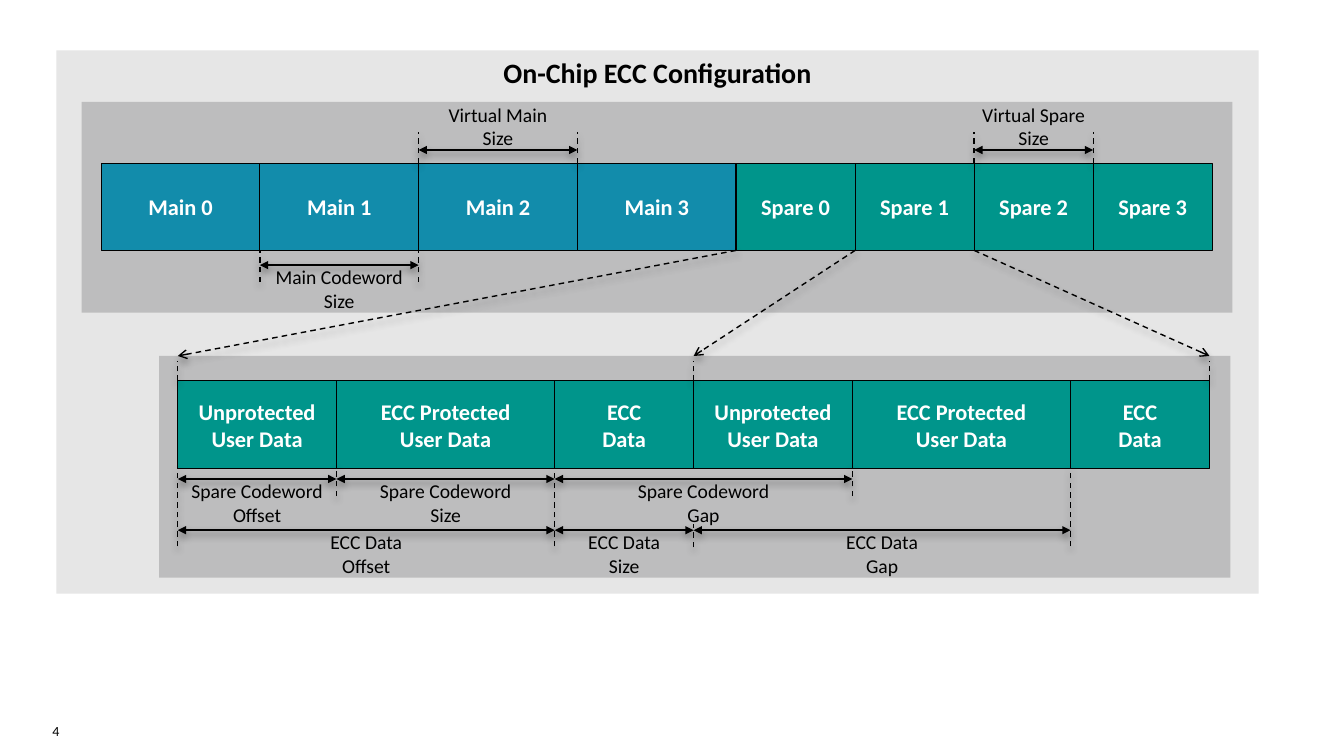
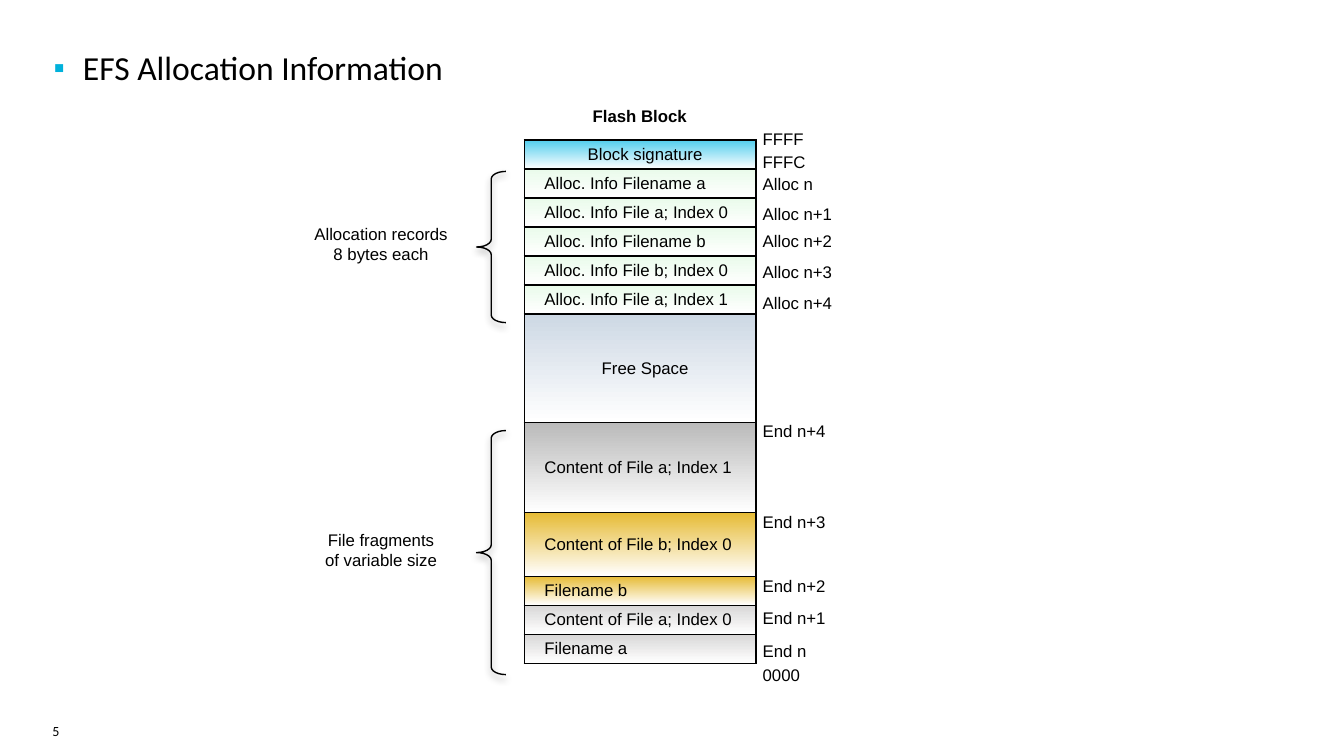
"""Build two slides on flash memory: the ECC layout and the EFS block map."""
import dataclasses
import itertools

import lxml.etree
import pptx
import pptx.dml.color
import pptx.enum.dml
import pptx.enum.shapes
import pptx.enum.text
import pptx.oxml.ns
import pptx.util

Cm = pptx.util.Cm
Pt = pptx.util.Pt
Align = pptx.enum.text.PP_ALIGN
Anchor = pptx.enum.text.MSO_ANCHOR
Shape = pptx.enum.shapes.MSO_SHAPE


@dataclasses.dataclass(frozen=True)
class Theme:
    black: str = "000000"
    white: str = "FFFFFF"
    panel: str = "E6E6E6"
    inner: str = "BDBDBE"
    main: str = "128CAB"
    spare: str = "00958B"
    bullet: str = "00B1DB"
    sign: str = "51CDED"
    alloc: str = "EAFBEB"
    free: str = "CDD8E4"
    dark: str = "BABABA"
    gold: str = "E6BB35"
    light: str = "D8D7D7"
    sans: str = "Calibri"
    plain: str = "Arial"
    lead: int = 24
    head: int = 20
    block: int = 16
    label: int = 14
    small: int = 12
    page: int = 10


def color(code):
    return pptx.dml.color.RGBColor.from_string(code)


def node(parent, tag, **attrs):
    child = lxml.etree.SubElement(parent, pptx.oxml.ns.qn(tag))
    for key, value in attrs.items():
        child.set(key, str(value))
    return child


def edges(start, widths):
    return [round(x, 2) for x in itertools.accumulate(widths, initial=start)]


class Deck:
    def __init__(self, theme):
        self.theme = theme
        self.file = pptx.Presentation()
        self.file.slide_width = Cm(33.87)
        self.file.slide_height = Cm(19.05)
        self.slide = None

    def start(self, page):
        self.slide = self.file.slides.add_slide(self.file.slide_layouts[5])
        self.text(str(page), (1.32, 18.21, 3.63, 0.66), self.theme.page,
                  align=Align.LEFT)

    def fill(self, frame, text, size, ink=None, bold=False, font=None,
             align=Align.CENTER, anchor=Anchor.TOP, inset=(0, 0, 0, 0)):
        frame.text = text
        frame.word_wrap = True
        frame.auto_size = pptx.enum.text.MSO_AUTO_SIZE.NONE
        frame.vertical_anchor = anchor
        (frame.margin_left, frame.margin_top,
         frame.margin_right, frame.margin_bottom) = map(Cm, inset)
        self.style(frame, size, ink, bold, font, align)

    def style(self, frame, size, ink, bold, font, align):
        for para in frame.paragraphs:
            para.alignment = align
            for run in para.runs:
                run.font.size = Pt(size)
                run.font.bold = bold
                run.font.name = font or self.theme.sans
                run.font.color.rgb = color(ink or self.theme.black)

    def title(self, text, box, size, **look):
        shape = self.slide.shapes.title
        shape.left, shape.top, shape.width, shape.height = map(Cm, box)
        self.fill(shape.text_frame, text, size, **look)
        shape.element.getparent().append(shape.element)
        return shape.text_frame.paragraphs[0]

    def bullet(self, para, indent):
        para.space_before = Pt(4)
        props = para._p.get_or_add_pPr()
        props.set("marL", str(Cm(indent)))
        props.set("indent", str(-Cm(indent)))
        node(node(props, "a:buClr"), "a:srgbClr", val=self.theme.bullet)
        node(props, "a:buSzPct", val=95000)
        node(props, "a:buFont", typeface=self.theme.plain)
        node(props, "a:buChar", char="▪")

    def text(self, text, box, size, **look):
        shape = self.slide.shapes.add_textbox(*map(Cm, box))
        self.fill(shape.text_frame, text, size, **look)

    def rect(self, box, fill, text="", line=False):
        shape = self.slide.shapes.add_shape(Shape.RECTANGLE, *map(Cm, box))
        shape.shadow.inherit = False
        shape.fill.solid()
        shape.fill.fore_color.rgb = color(fill)
        if line:
            self.stroke(shape.line, 0.75)
        else:
            shape.line.fill.background()
        if text:
            self.fill(shape.text_frame, text, self.theme.block,
                      self.theme.white, True, anchor=Anchor.MIDDLE)

    def row(self, xs, top, fill, names):
        for name, left, right in zip(names, xs, xs[1:]):
            self.rect((left, top, right - left, 2.21), fill, name, True)

    def stroke(self, line, width):
        line.color.rgb = color(self.theme.black)
        line.width = Pt(width)

    def shade(self, props):
        drop = node(node(props, "a:effectLst"), "a:outerShdw",
                    blurRad=Pt(5.2), dist=Pt(3), dir=5400000, rotWithShape=0)
        node(node(drop, "a:srgbClr", val=self.theme.black),
             "a:alpha", val=40000)

    def link(self, start, end, width=1, dash=True, head=None, tail=None):
        line = self.slide.shapes.add_connector(
            pptx.enum.shapes.MSO_CONNECTOR.STRAIGHT, *map(Cm, start + end))
        self.stroke(line.line, width)
        if dash:
            line.line.dash_style = pptx.enum.dml.MSO_LINE.DASH
        outline = line.line._get_or_add_ln()
        for tag, kind in (("a:headEnd", head), ("a:tailEnd", tail)):
            if kind:
                node(outline, tag, type=kind)
        self.shade(line.element.spPr)

    def ticks(self, xs, top, end):
        for x in xs:
            self.link((x, top), (x, end))

    def span(self, left, right, y, text, above=False):
        self.link((left, y), (right, y), 1.5, False, "triangle", "triangle")
        top = y - 1.19 if above else y
        self.text(text, ((left + right) / 2 - 1.75, top, 3.5, 1.19),
                  self.theme.label)

    def brace(self, top, height):
        shape = self.slide.shapes.add_shape(
            Shape.LEFT_BRACE, Cm(12.01), Cm(top), Cm(0.74), Cm(height))
        shape.adjustments[0] = 0.26
        shape.fill.background()
        self.stroke(shape.line, 1)
        self.shade(shape.element.spPr)

    def table(self, left, top, width, rows):
        total = sum(row[1] for row in rows)
        table = self.slide.shapes.add_table(
            len(rows), 1, Cm(left), Cm(top), Cm(width), Cm(total)).table
        table.first_row = table.horz_banding = False
        for index, (text, height, fill, align) in enumerate(rows):
            table.rows[index].height = Cm(height)
            self.cell(table.cell(index, 0), text, fill, align)

    def cell(self, cell, text, fill, align):
        cell.text_frame.text = text
        cell.vertical_anchor = Anchor.MIDDLE
        cell.margin_left = Cm(0.51)
        self.style(cell.text_frame, self.theme.small, None, False,
                   self.theme.plain, align)
        props = cell._tc.get_or_add_tcPr()
        for side in "LRTB":
            line = node(props, "a:ln" + side, w=Pt(1))
            node(node(line, "a:solidFill"), "a:srgbClr", val=self.theme.black)
        cell.fill.gradient()
        cell.fill.gradient_angle = 270
        for stop, code in zip(cell.fill.gradient_stops,
                              (fill, self.theme.white)):
            stop.color.rgb = color(code)


def layout(deck):
    theme = deck.theme
    deck.start(4)
    deck.rect((1.42, 1.27, 30.3, 13.69), theme.panel)
    deck.title("On-Chip ECC Configuration", (1.42, 1.4, 30.3, 1.1),
               theme.head, bold=True)
    deck.rect((2.06, 2.57, 29, 5.31), theme.inner)
    deck.rect((4.01, 8.97, 27, 5.59), theme.inner)

    main = edges(2.55, [4] * 4)
    spare = edges(main[-1], [3] * 4)
    parts = edges(4.48, [4, 5.5, 3.5] * 2)
    deck.row(main, 4.11, theme.main, [f"Main {i}" for i in range(4)])
    deck.row(spare, 4.11, theme.spare, [f"Spare {i}" for i in range(4)])
    deck.row(parts, 9.6, theme.spare,
             ["Unprotected\nUser Data", "ECC Protected\nUser Data",
              "ECC\nData"] * 2)

    for start, end in zip(spare, parts[::3]):
        deck.link((start, 6.31), (end, 8.97), tail="arrow")
    deck.ticks(main[2:4] + spare[2:4], 4.11, 3.33)
    deck.ticks(main[1:3], 7.11, 6.32)
    deck.ticks(parts[::3], 9.6, 9.09)
    deck.ticks((parts[1], parts[4]), 12.5, 11.71)
    deck.ticks((parts[0], parts[2], parts[5]), 13.77, 11.75)
    deck.ticks(parts[3:4], 13.79, 13.21)

    deck.span(main[2], main[3], 3.78, "Virtual Main\vSize", True)
    deck.span(spare[2], spare[3], 3.78, "Virtual Spare\vSize", True)
    deck.span(main[1], main[2], 6.68, "Main Codeword Size")
    for first, last, y, text in (
            (0, 1, 12.07, "Spare Codeword Offset"),
            (1, 2, 12.07, "Spare Codeword Size"),
            (2, 4, 12.07, "Spare Codeword Gap"),
            (0, 2, 13.36, "ECC Data\nOffset"),
            (2, 3, 13.36, "ECC Data\nSize"),
            (3, 5, 13.36, "ECC Data\nGap")):
        deck.span(parts[first], parts[last], y, text)


def block(deck):
    theme = deck.theme
    deck.start(5)
    para = deck.title("EFS Allocation Information", (1.35, 1.19, 31, 1.3),
                      theme.lead, align=Align.LEFT)
    deck.bullet(para, 0.74)

    low, left, mid = 0.73, Align.LEFT, Align.CENTER
    infos = ("Filename a", "File a; Index 0", "Filename b",
             "File b; Index 0", "File a; Index 1")
    deck.table(13.21, 3.53, 5.84, [
        ("Block signature", low, theme.sign, mid),
        *((f"Alloc. Info {info}", low, theme.alloc, left) for info in infos),
        ("Free Space", 2.74, theme.free, mid),
        ("Content of File a; Index 1", 2.27, theme.dark, left),
        ("Content of File b; Index 0", 1.6, theme.gold, left),
        ("Filename b", low, theme.gold, left),
        ("Content of File a; Index 0", low, theme.light, left),
        ("Filename a", low, theme.light, left)])

    deck.text("Flash Block", (14.6, 2.67, 3.05, 0.69), theme.small,
              bold=True, font=theme.plain)
    for text, top in (
            ("FFFF", 3.2), ("FFFC", 3.78), ("Alloc n", 4.32),
            ("Alloc n+1", 5.08), ("Alloc n+2", 5.77), ("Alloc n+3", 6.55),
            ("Alloc n+4", 7.32), ("End n+4", 10.54), ("End n+3", 12.85),
            ("End n+2", 14.45), ("End n+1", 15.27), ("End n", 16.1),
            ("0000", 16.71)):
        deck.text(text, (19.02, top, 3, 0.61), theme.small, font=theme.plain,
                  align=left, anchor=Anchor.MIDDLE, inset=(0.2, 0, 0, 0))
    for text, top, start, height in (
            ("Allocation records\n8 bytes each", 5.64, 4.32, 3.81),
            ("File fragments\nof variable size", 13.34, 10.85, 6.15)):
        deck.text(text, (7.65, top, 3.91, 1.17), theme.small,
                  font=theme.plain)
        deck.brace(start, height)


def main():
    deck = Deck(Theme())
    layout(deck)
    block(deck)
    deck.file.save("out.pptx")


if __name__ == "__main__":
    main()
